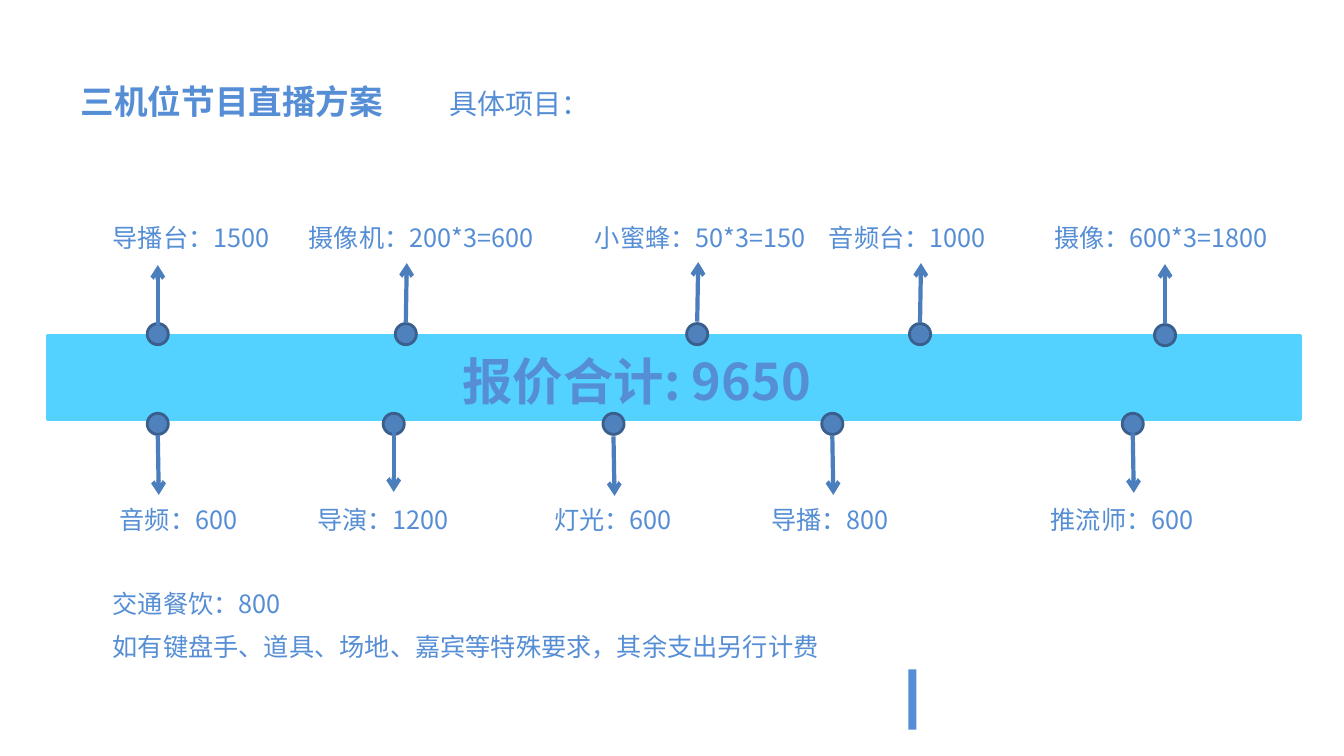
import pptx
import pptx.util
import pptx.dml.color
import pptx.enum.shapes
import pptx.enum.text
import pptx.oxml
import pptx.oxml.ns
from pptx.util import Inches

FONT = "Noto Sans CJK SC"
TEXT_BLUE = "558ED5"
BAND_BLUE = "53D2FF"
DOT_SIZE = 0.21
ARROW_LENGTH = 0.59
LEFT = pptx.enum.text.PP_ALIGN.LEFT
CENTER = pptx.enum.text.PP_ALIGN.CENTER
RECTANGLE = pptx.enum.shapes.MSO_SHAPE.RECTANGLE
OVAL = pptx.enum.shapes.MSO_SHAPE.OVAL

COSTS_ABOVE = [
    ("导播台：1500", 1.02, 2, LEFT, 1.46, 3.21, 3.22, 0),
    ("摄像机：200*3=600", 2.73, 2.89, CENTER, 3.92, 3.21, 3.2, 0.01),
    ("小蜜蜂：50*3=150", 5.45, 2.99, CENTER, 6.81, 3.21, 3.19, 0.01),
    ("音频台：1000", 8, 2, CENTER, 9.02, 3.21, 3.2, 0.01),
    ("摄像：600*3=1800", 9.95, 3.13, CENTER, 11.45, 3.22, 3.21, 0),
]
COSTS_BELOW = [
    ("音频：600", 0.77, 2, CENTER, 1.46, 4.1, 4.32, 0.01),
    ("导演：1200", 2.8, 2, CENTER, 3.8, 4.1, 4.29, 0),
    ("灯光：600", 5.08, 2, CENTER, 5.98, 4.1, 4.33, 0.01),
    ("导播：800", 7.55, 2, LEFT, 8.15, 4.1, 4.32, 0.01),
    ("推流师：600", 10.13, 2, CENTER, 11.13, 4.1, 4.3, 0.01),
]


def color(value):
    return pptx.dml.color.RGBColor.from_string(value)


def add_figure(page, kind, place, fill, line=None):
    figure = page.shapes.add_shape(kind, *map(Inches, place))
    figure.shadow.inherit = False
    figure.fill.solid()
    figure.fill.fore_color.rgb = color(fill)
    if line:
        figure.line.color.rgb = color(line)
        figure.line.width = pptx.util.Pt(2)
    else:
        figure.line.fill.background()


def add_text(page, lines, place, size, align=LEFT, bold=False, wrap=True, spacing=None):
    box = page.shapes.add_textbox(*map(Inches, place))
    frame = box.text_frame
    frame.word_wrap = wrap
    frame.auto_size = pptx.enum.text.MSO_AUTO_SIZE.SHAPE_TO_FIT_TEXT
    for index, line in enumerate(lines):
        para = frame.add_paragraph() if index else frame.paragraphs[0]
        para.alignment = align
        if spacing:
            para.line_spacing = spacing
        span = para.add_run()
        span.text = line
        span.font.size = pptx.util.Pt(size)
        span.font.bold = bold
        span.font.color.rgb = color(TEXT_BLUE)
        span.font.name = FONT
        east_asian = pptx.oxml.parse_xml(
            f'<a:ea {pptx.oxml.ns.nsdecls("a")} typeface="{FONT}"/>')
        span.font._element.append(east_asian)


def add_arrow(page, start_x, start_y, end_x, end_y):
    arrow = page.shapes.add_connector(
        pptx.enum.shapes.MSO_CONNECTOR.STRAIGHT,
        *map(Inches, (start_x, start_y, end_x, end_y)))
    arrow.line.color.rgb = color("4B7EBC")
    arrow.line.width = pptx.util.Pt(3)
    namespace = pptx.oxml.ns.nsdecls("a")
    arrow.line._get_or_add_ln().append(
        pptx.oxml.parse_xml(f'<a:tailEnd {namespace} type="arrow"/>'))
    arrow._element.spPr.append(pptx.oxml.parse_xml(f"<a:effectLst {namespace}/>"))


def add_costs(page, costs, label_top, direction):
    for label, left, width, align, dot_left, dot_top, arrow_y, lean in costs:
        add_text(page, [label], (left, label_top, width, 0.4), 18, align)
        add_figure(page, OVAL, (dot_left, dot_top, DOT_SIZE, DOT_SIZE), "4F81BD", "3A5F8C")
        arrow_x = dot_left + DOT_SIZE / 2
        add_arrow(page, arrow_x, arrow_y, arrow_x + lean, arrow_y + direction * ARROW_LENGTH)


def main():
    deck = pptx.Presentation()
    deck.slide_width = Inches(13.33)
    deck.slide_height = Inches(7.5)
    page = deck.slides.add_slide(deck.slide_layouts[6])
    add_figure(page, RECTANGLE, (9.01, 6.64, 0.08, 0.6), TEXT_BLUE)
    add_text(page, ["三机位节目直播方案"], (0.6, 0.75, 3.4, 0.5), 24, CENTER, bold=True)
    add_text(page, ["具体项目："], (4.36, 0.81, 2.05, 0.44), 20)
    add_figure(page, RECTANGLE, (0.47, 3.33, 12.43, 0.83), BAND_BLUE, BAND_BLUE)
    add_text(page, ["报价合计: 9650"], (3.59, 3.42, 5.45, 0.68), 36, CENTER, bold=True)
    add_costs(page, COSTS_ABOVE, 2.16, -1)
    add_costs(page, COSTS_BELOW, 4.95, 1)
    add_text(page, ["交通餐饮：800", "如有键盘手、道具、场地、嘉宾等特殊要求，其余支出另行计费"],
             (1.02, 5.67, 7.27, 0.93), 18, wrap=False, spacing=1.4)
    deck.save("out.pptx")


if __name__ == "__main__":
    main()
